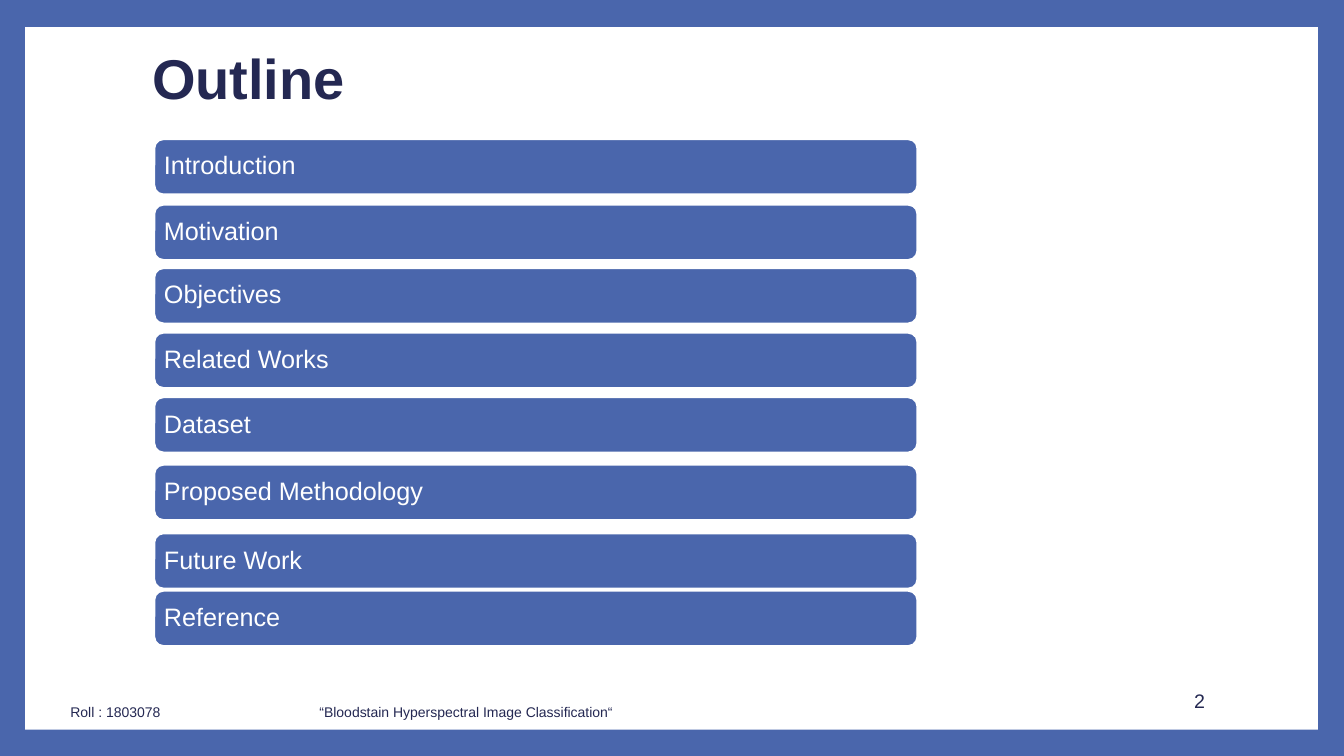
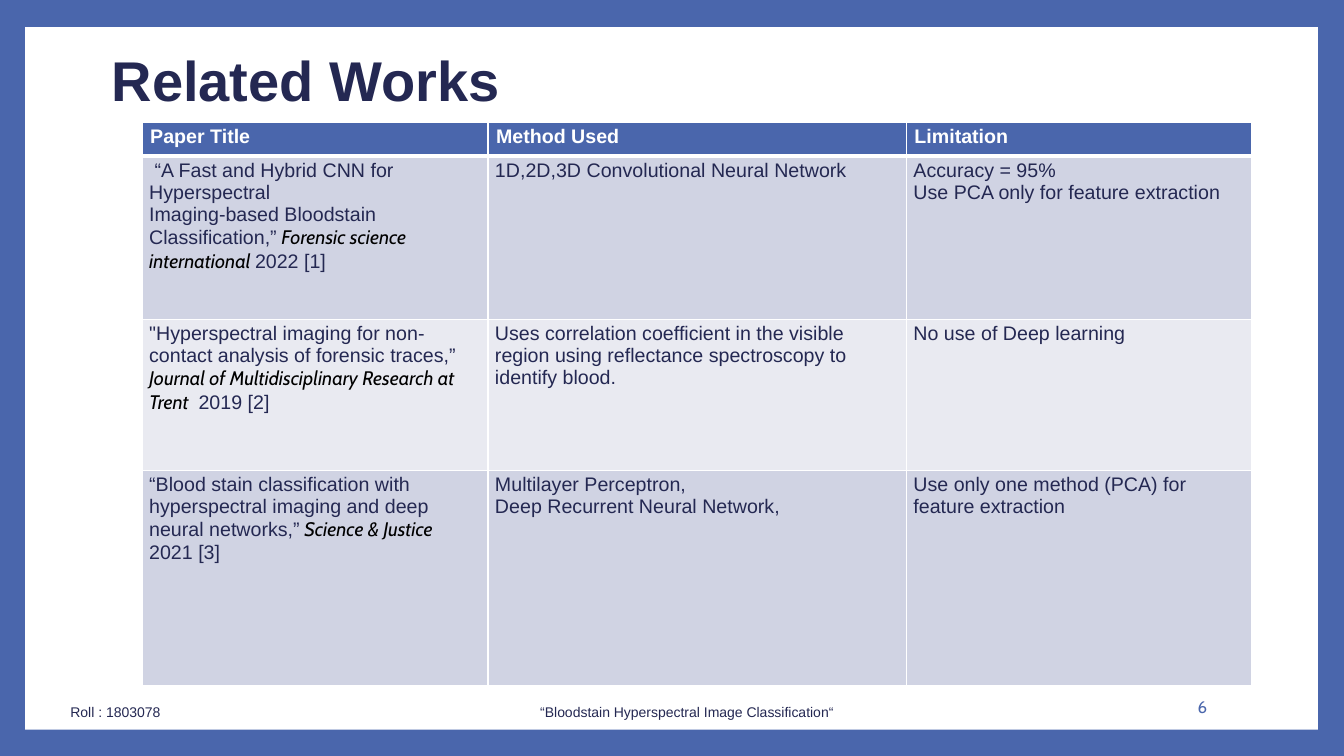
from lxml import etree
from pptx import Presentation
from pptx.dml.color import RGBColor
from pptx.enum.shapes import MSO_SHAPE
from pptx.enum.text import MSO_ANCHOR, PP_ALIGN
from pptx.oxml.ns import qn
from pptx.util import Inches, Pt

RECTANGLE = MSO_SHAPE.RECTANGLE
ROUNDED = MSO_SHAPE.ROUNDED_RECTANGLE
TOP, MIDDLE = MSO_ANCHOR.TOP, MSO_ANCHOR.MIDDLE
LEFT, RIGHT = PP_ALIGN.LEFT, PP_ALIGN.RIGHT

BLUE, NAVY, WHITE, BLACK = "4A66AC", "242852", "FFFFFF", "000000"
BAND_COLORS = ("D0D3E3", "E9EAF1")
BODY_FONT, ACCENT_FONT = "Arial", "Cabin"

ROLL = "Roll : 1803078"
TOPIC = "“Bloodstain Hyperspectral Image Classification“"

OUTLINE = [
    (1.38, "Introduction"),
    (2.03, "Motivation"),
    (2.66, "Objectives"),
    (3.3, "Related Works"),
    (3.94, "Dataset"),
    (4.61, "Proposed Methodology"),
    (5.29, "Future Work"),
    (5.86, "Reference"),
]

HEADINGS = ["Paper Title", "Method Used", "Limitation"]
# Journal names stand between asterisks.
PAPERS = [
    [
        [" “A Fast and Hybrid CNN for Hyperspectral",
         "Imaging-based Bloodstain Classification,”* Forensic science international *2022 [1]"],
        ["1D,2D,3D Convolutional Neural Network"],
        ["Accuracy = 95%", "Use PCA only for feature extraction"],
    ],
    [
        ['"Hyperspectral imaging for non-contact analysis of forensic traces,” '
         "*Journal of Multidisciplinary Research at Trent * 2019 [2]"],
        ["Uses correlation coefficient in the visible region using "
         "reflectance spectroscopy to identify blood."],
        ["No use of Deep learning"],
    ],
    [
        ["“Blood stain classification with hyperspectral imaging and deep "
         "neural networks,”* Science & Justice*", "2021 [3]"],
        ["Multilayer Perceptron,", "Deep Recurrent Neural Network,"],
        ["Use only one method (PCA) for", "feature extraction"],
    ],
]
COLUMN_WIDTHS = [3.43, 4.15, 3.42]
ROW_HEIGHTS = [0.34, 1.62, 1.5, 2.13]


def rgb(color):
    return RGBColor.from_string(color)


def style_font(font, size, color, name=BODY_FONT, bold=False, italic=False):
    font.size = Pt(size)
    font.name = name
    font.bold = bold
    font.italic = italic
    font.color.rgb = rgb(color)


def add_panel(slide, geometry, box, fill):
    panel = slide.shapes.add_shape(geometry, *map(Inches, box))
    panel.shadow.inherit = False
    panel.fill.solid()
    panel.fill.fore_color.rgb = rgb(fill)
    panel.line.fill.background()
    return panel


def add_text(slide, text, box, size, color=NAVY, name=BODY_FONT, bold=False,
             align=LEFT, anchor=TOP, spacing=0.9):
    frame = slide.shapes.add_textbox(*map(Inches, box)).text_frame
    frame.word_wrap = True
    frame.vertical_anchor = anchor
    paragraph = frame.paragraphs[0]
    paragraph.text = text
    paragraph.alignment = align
    paragraph.line_spacing = spacing
    style_font(paragraph.font, size, color, name, bold)


def add_base_slide(prs, title, title_box, topic_left):
    slide = prs.slides.add_slide(prs.slide_layouts[6])
    slide.background.fill.solid()
    slide.background.fill.fore_color.rgb = rgb(BLUE)
    add_panel(slide, RECTANGLE, (0.25, 0.27, 12.82, 6.97), WHITE)
    add_text(slide, title, title_box, 40, bold=True, anchor=MIDDLE)
    add_text(slide, ROLL, (0.6, 6.95, 2, 0.28), 10)
    add_text(slide, TOPIC, (topic_left, 6.95, 4, 0.28), 10)
    return slide


def add_page_number(slide, number, box, size, **style):
    add_text(slide, number, box, size, align=RIGHT, anchor=MIDDLE, spacing=1.0, **style)


def add_outline_bar(slide, top, label):
    bar = add_panel(slide, ROUNDED, (1.53, top, 7.57, 0.55), BLUE)
    bar.line.color.rgb = rgb(WHITE)
    bar.line.width = Pt(1.5)
    frame = bar.text_frame
    frame.word_wrap = True
    frame.vertical_anchor = MIDDLE
    frame.margin_left = frame.margin_right = Inches(0.07)
    paragraph = frame.paragraphs[0]
    paragraph.text = label
    paragraph.alignment = LEFT
    paragraph.line_spacing = 0.9
    style_font(paragraph.font, 18, WHITE)


def set_borders(cell, top, bottom):
    properties = cell._tc.get_or_add_tcPr()
    for side, points in (("L", 1), ("R", 1), ("T", top), ("B", bottom)):
        line = etree.SubElement(properties, qn(f"a:ln{side}"), w=str(Pt(points)))
        fill = etree.SubElement(line, qn("a:solidFill"))
        etree.SubElement(fill, qn("a:srgbClr"), val=WHITE)


def write_paragraph(paragraph, text, color, bold):
    if "*" not in text:
        paragraph.text = text
        style_font(paragraph.font, 14, color, bold=bold)
        return
    for index, part in enumerate(text.split("*")):
        if not part:
            continue
        run = paragraph.add_run()
        run.text = part
        if index % 2:
            style_font(run.font, 14, BLACK, ACCENT_FONT, italic=True)
        else:
            style_font(run.font, 14, color, bold=bold)


def write_cell(cell, lines, row):
    is_heading = row == 0
    set_borders(cell, 3 if row == 1 else 1, 3 if is_heading else 1)
    cell.fill.solid()
    cell.fill.fore_color.rgb = rgb(BLUE if is_heading else BAND_COLORS[(row - 1) % 2])
    cell.margin_left = cell.margin_right = Inches(0.08 if is_heading else 0.07)
    cell.margin_top = cell.margin_bottom = Inches(0.04 if is_heading else 0.03)
    frame = cell.text_frame
    for index, line in enumerate(lines):
        paragraph = frame.add_paragraph() if index else frame.paragraphs[0]
        write_paragraph(paragraph, line, WHITE if is_heading else NAVY, is_heading)


def add_papers_table(slide):
    rows = [[[heading] for heading in HEADINGS]] + PAPERS
    table = slide.shapes.add_table(
        len(rows), len(HEADINGS), Inches(1.41), Inches(1.21),
        Inches(sum(COLUMN_WIDTHS)), Inches(sum(ROW_HEIGHTS))).table
    for column, width in zip(table.columns, COLUMN_WIDTHS):
        column.width = Inches(width)
    for row, height in zip(table.rows, ROW_HEIGHTS):
        row.height = Inches(height)
    for row_index, row in enumerate(rows):
        for column_index, lines in enumerate(row):
            write_cell(table.cell(row_index, column_index), lines, row_index)


def build_outline(prs):
    slide = add_base_slide(prs, "Outline", (1.41, 0.22, 2.61, 1.17), 3.07)
    for top, label in OUTLINE:
        add_outline_bar(slide, top, label)
    add_page_number(slide, "2", (10.99, 6.75, 1.06, 0.4), 14)


def build_related_works(prs):
    slide = add_base_slide(prs, "Related Works", (1.01, 0.09, 10.8, 1.48), 5.26)
    add_papers_table(slide)
    add_page_number(slide, "6", (10.2, 6.81, 1.87, 0.4), 12, color=BLUE, name=ACCENT_FONT)


def main():
    prs = Presentation()
    prs.slide_width = Inches(13.33)
    prs.slide_height = Inches(7.5)
    build_outline(prs)
    build_related_works(prs)
    prs.save("out.pptx")


if __name__ == "__main__":
    main()
